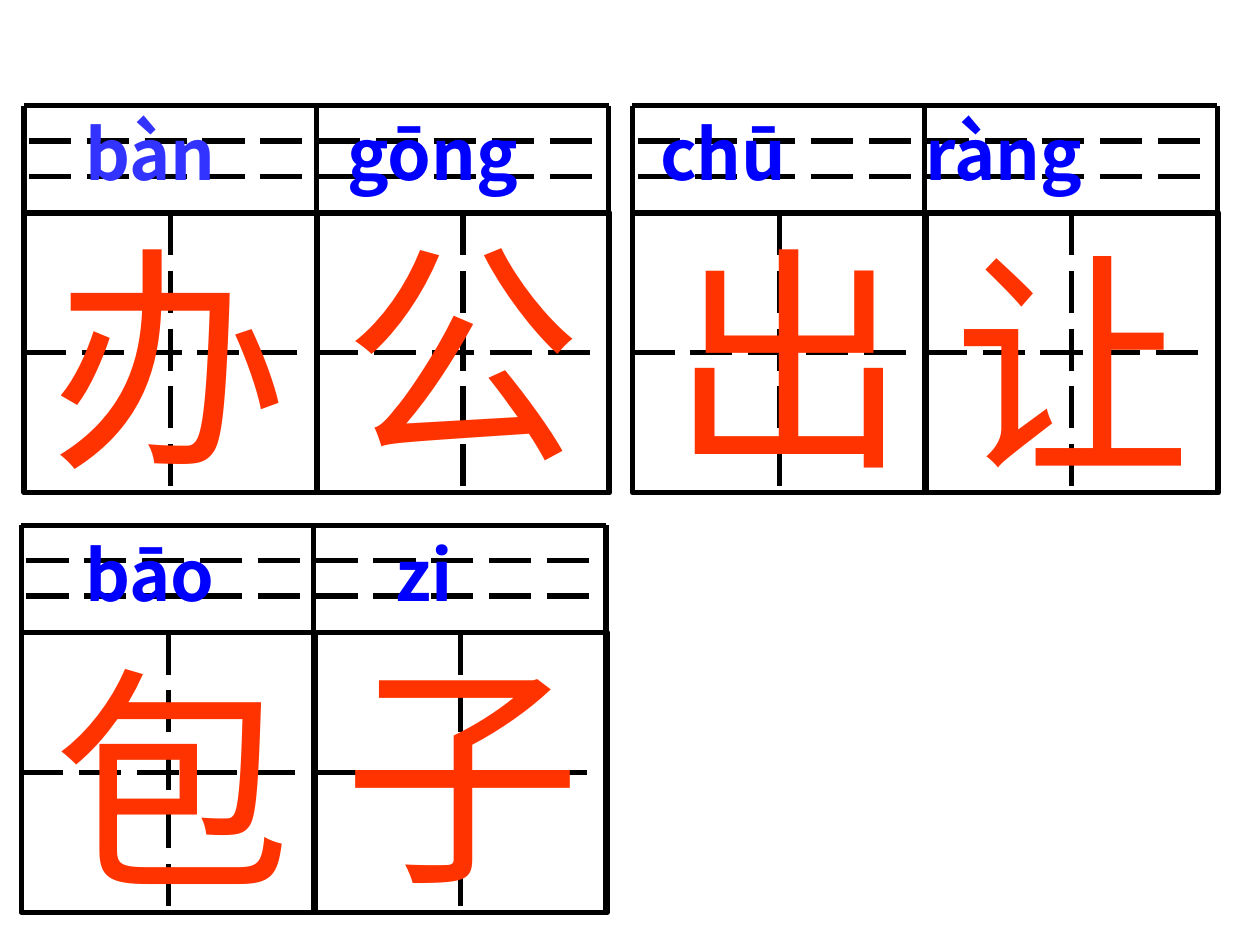
"""Build a slide of pinyin and character writing grids."""
from dataclasses import dataclass
from lxml import etree
from pptx import Presentation
from pptx.dml.color import RGBColor
from pptx.enum import dml, shapes, text
from pptx.oxml import ns
from pptx.util import Inches, Pt


@dataclass(frozen=True)
class Theme:
    ink: RGBColor = RGBColor(0, 0, 0)
    glyph: RGBColor = RGBColor(0xFF, 0x33, 0x00)
    pale: RGBColor = RGBColor(0x33, 0x33, 0xFF)
    blue: RGBColor = RGBColor(0, 0, 0xFF)
    big: int = 136
    small: int = 40
    rule: int = 3


theme = Theme()
deck = Presentation()
deck.slide_width, deck.slide_height = Inches(10), Inches(7.5)
slide = deck.slides.add_slide(deck.slide_layouts[6])


def rule(group, x1, y1, x2, y2, dash=False):
    line = group.shapes.add_connector(
        shapes.MSO_CONNECTOR.STRAIGHT, Inches(x1), Inches(y1), Inches(x2), Inches(y2))
    line.line.color.rgb = theme.ink
    line.line.width = Pt(theme.rule)
    if dash:
        line.line.dash_style = dml.MSO_LINE.LONG_DASH
    etree.SubElement(line._element.spPr, ns.qn("a:effectLst"))


def write(x, y, w, h, words, face, size, colors, bold=False, stops=()):
    box = slide.shapes.add_textbox(Inches(x), Inches(y), Inches(w), Inches(h))
    frame = box.text_frame
    frame.word_wrap = True
    para = frame.paragraphs[0]
    if stops:
        tabs = etree.SubElement(para._p.get_or_add_pPr(), ns.qn("a:tabLst"))
        for stop in stops:
            etree.SubElement(tabs, ns.qn("a:tab"), pos=str(Inches(stop)), algn="l")
    for word, color in zip(words, colors):
        run = para.add_run()
        run.text = word
        run.font.name, run.font.size, run.font.bold = face, Pt(size), bold
        run.font.color.rgb = color


cell, side, high = 2.32, 2.33, 2.22
for left, top in ((0.19, 0.84), (5.02, 0.84), (0.17, 4.17)):
    grid = slide.shapes.add_group_shape()
    right, mid, base = left + 2 * cell, top + 0.85, top + 3.06
    for x in (left, left + cell):
        square = grid.shapes.add_shape(
            shapes.MSO_SHAPE.RECTANGLE, Inches(x), Inches(mid), Inches(side), Inches(high))
        square.shadow.inherit = False
        square.fill.background()
        square.line.color.rgb = theme.ink
        square.line.width = Pt(theme.rule)
        rule(grid, x + side / 2, mid, x + side / 2, mid + high, True)
        rule(grid, x, mid + high / 2, x + 2.28, mid + high / 2, True)
    rule(grid, left, top, right, top)
    for step in (0.28, 0.56):
        rule(grid, left + 0.04, top + step, right, top + step, True)
    for col in range(3):
        rule(grid, left + col * cell, top, left + col * cell, base)

for char, x, y in (("公", 2.63, 1.58), ("办", 0.3, 1.63), ("出", 5.22, 1.63),
                   ("让", 7.47, 1.67), ("子", 2.63, 4.92), ("包", 0.33, 4.97)):
    write(x, y, 2.28, 2.37, [char], "Arial", theme.big, [theme.glyph])

for x, y, w, words, stops, colors in (
        (0.12, 0.83, 9.96, ["\tbàn", "\tgōng\tchū\tràng"],
         (0.46, 2.54, 5.02, 7.13), (theme.pale, theme.blue)),
        (0, 4.17, 6.08, ["\tbāo\tzi"], (0.58, 3.04), (theme.blue,))):
    write(x, y, w, 0.77, words, "Noto Sans CJK SC", theme.small, colors, True, stops)

deck.save("out.pptx")
